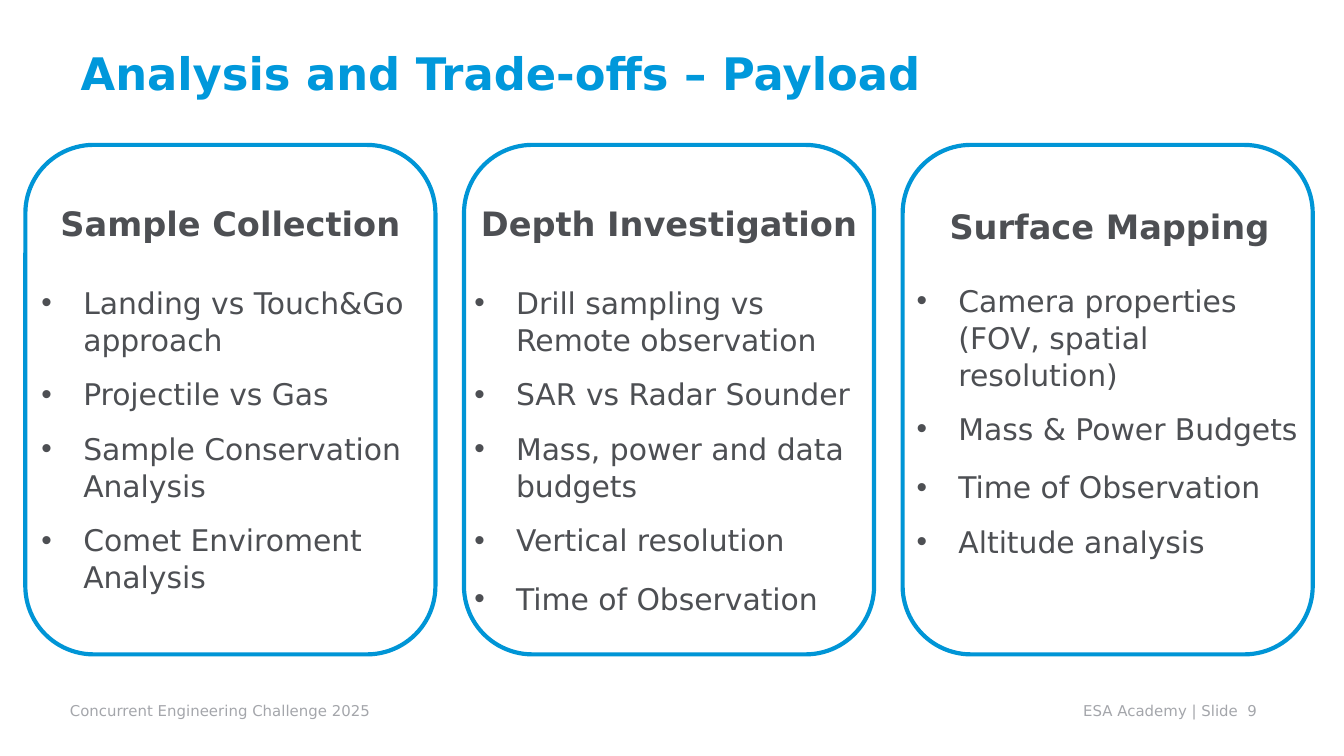
import pptx
import pptx.dml.color
import pptx.enum.shapes
import pptx.enum.text
import pptx.oxml.ns
import pptx.util
from lxml import etree
from pptx.util import Cm, Pt

# Content: the space before each bullet point is in points
TITLE = "Analysis and Trade-offs – Payload"
CARDS = [
    {"heading": "Sample Collection", "left": 0.53, "top": 3.71, "width": 7.65,
     "points": [("Landing vs Touch&Go approach", 21.5), ("Projectile vs Gas", 9.5),
                ("Sample Conservation Analysis", 9.5), ("Comet Enviroment Analysis", 9.5)]},
    {"heading": "Depth Investigation", "left": 8.71, "top": 3.71, "width": 7.87,
     "points": [("Drill sampling vs Remote observation", 21.5), ("SAR vs Radar Sounder", 9.5),
                ("Mass, power and data budgets", 9.5), ("Vertical resolution", 9.5),
                ("Time of Observation", 11.5)]},
    {"heading": "Surface Mapping", "left": 17.07, "top": 3.76, "width": 7.8,
     "points": [("Camera properties (FOV, spatial resolution)", 19),
                ("Mass\u00a0& Power Budgets", 9.5), ("Time of Observation", 11.5),
                ("Altitude analysis", 9.5)]},
]
FOOTERS = [("Concurrent Engineering Challenge 2025", 1.07, 8),
           ("ESA Academy | Slide  9", 20.22, 4.5)]

# Style
FONT = "DejaVu Sans"
TITLE_BLUE = pptx.dml.color.RGBColor(0x00, 0x98, 0xDB)
CARD_BLUE = pptx.dml.color.RGBColor(0x00, 0x95, 0xD6)
TEXT_GREY = pptx.dml.color.RGBColor(0x4D, 0x4F, 0x53)
FOOTER_GREY = pptx.dml.color.RGBColor(0xA4, 0xA6, 0xAB)
CARD_LEFT, CARD_TOP, CARD_STEP = 0.48, 2.74, 8.29
CARD_WIDTH, CARD_HEIGHT = 7.75, 9.63
TEXT_HEIGHT = 8.4
BULLET_INDENT = Cm(0.79)
LEFT = pptx.enum.text.PP_ALIGN.LEFT
CENTER = pptx.enum.text.PP_ALIGN.CENTER


def place(shape, left, top, width, height):
    shape.left, shape.top = Cm(left), Cm(top)
    shape.width, shape.height = Cm(width), Cm(height)


def style(paragraph, size, color, bold=False, align=LEFT):
    paragraph.alignment = align
    paragraph.font.name = FONT
    paragraph.font.size = Pt(size)
    paragraph.font.bold = bold
    paragraph.font.color.rgb = color


def set_bullet(paragraph, character=None):
    properties = paragraph._p.get_or_add_pPr()
    indent = BULLET_INDENT if character else 0
    properties.set("marL", str(indent))
    properties.set("indent", str(-indent))
    tag = "a:buChar" if character else "a:buNone"
    bullet = etree.SubElement(properties, pptx.oxml.ns.qn(tag))
    if character:
        bullet.set("char", character)


def fill_list(placeholder, card):
    place(placeholder, card["left"], card["top"], card["width"], TEXT_HEIGHT)
    frame = placeholder.text_frame
    frame.word_wrap = True
    frame.auto_size = pptx.enum.text.MSO_AUTO_SIZE.NONE
    frame.vertical_anchor = pptx.enum.text.MSO_ANCHOR.TOP

    heading = frame.paragraphs[0]
    heading.text = card["heading"]
    set_bullet(heading)
    heading.space_before = Pt(0)
    style(heading, 18, TEXT_GREY, bold=True, align=CENTER)

    for text, gap in card["points"]:
        point = frame.add_paragraph()
        point.text = text
        set_bullet(point, "•")
        point.line_spacing = 1.035
        point.space_before = Pt(gap)
        style(point, 16, TEXT_GREY)


presentation = pptx.Presentation()
presentation.slide_width, presentation.slide_height = Cm(25.4), Cm(14.29)
slide = presentation.slides.add_slide(presentation.slide_layouts[4])

# Title
title = slide.shapes.title
place(title, 1.27, 0.18, 22.86, 2.39)
title.text_frame.text = TITLE
title.text_frame.vertical_anchor = pptx.enum.text.MSO_ANCHOR.MIDDLE
style(title.text_frame.paragraphs[0], 24, TITLE_BLUE, bold=True)

# Lists in the body placeholders; the spare one goes
bodies = [item for item in slide.placeholders if item.placeholder_format.idx > 0]
for body, card in zip(bodies, CARDS):
    fill_list(body, card)
for spare in bodies[len(CARDS):]:
    spare.element.getparent().remove(spare.element)

# Rounded card outlines
for column in range(len(CARDS)):
    outline = slide.shapes.add_shape(
        pptx.enum.shapes.MSO_SHAPE.ROUNDED_RECTANGLE,
        Cm(CARD_LEFT + column * CARD_STEP), Cm(CARD_TOP), Cm(CARD_WIDTH), Cm(CARD_HEIGHT))
    outline.shadow.inherit = False
    outline.fill.background()
    outline.line.color.rgb = CARD_BLUE
    outline.line.width = Pt(2.25)

# Footers
for text, left, width in FOOTERS:
    footer = slide.shapes.add_textbox(Cm(left), Cm(13.13), Cm(width), Cm(0.53))
    footer.text_frame.word_wrap = True
    footer.text_frame.margin_right = 0
    footer.text_frame.text = text
    style(footer.text_frame.paragraphs[0], 8, FOOTER_GREY)

presentation.save("out.pptx")
